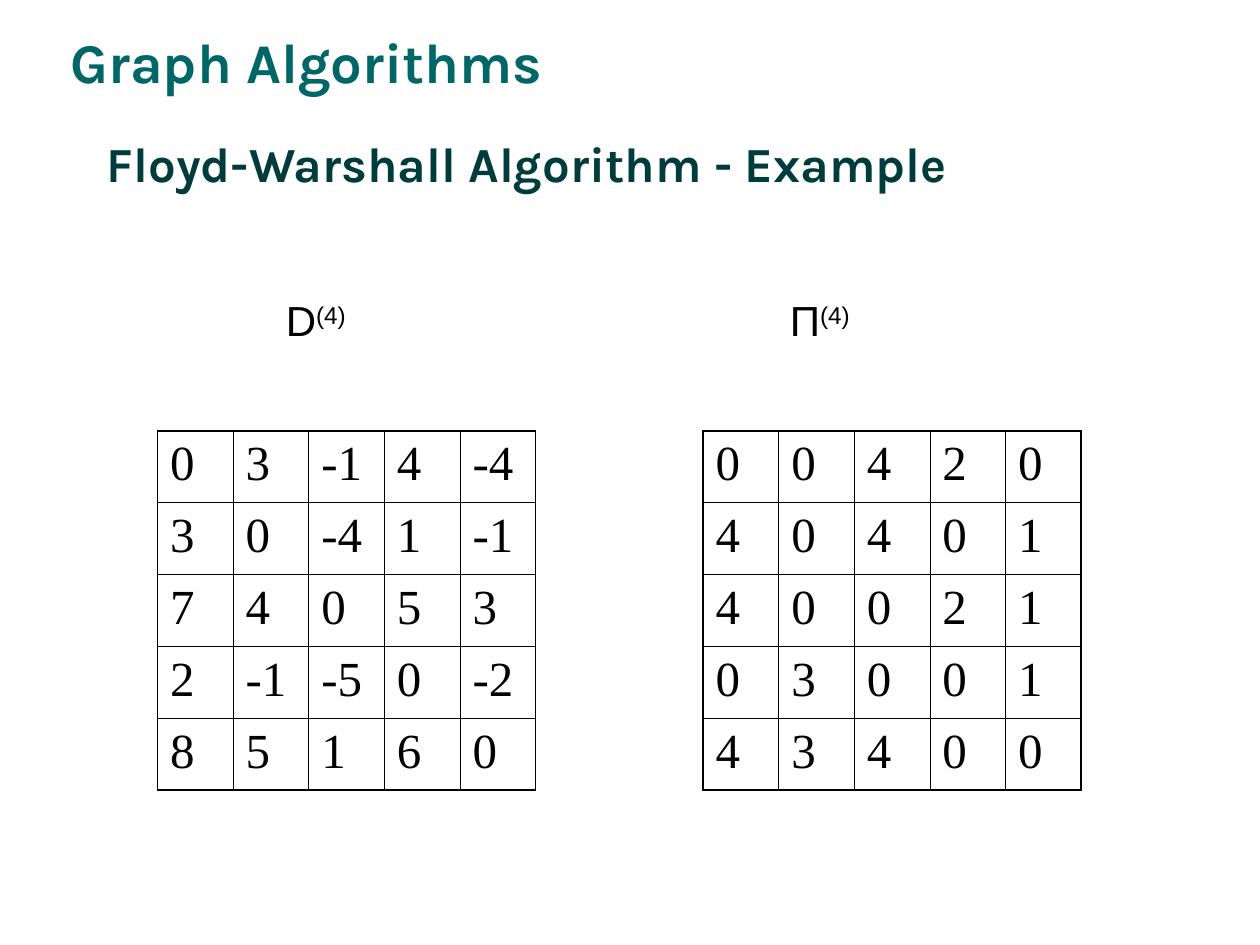
from lxml import etree
from pptx import Presentation
from pptx.dml.color import RGBColor
from pptx.enum.text import MSO_ANCHOR, MSO_AUTO_SIZE
from pptx.oxml.ns import qn
from pptx.util import Inches, Pt

TOP, MIDDLE = MSO_ANCHOR.TOP, MSO_ANCHOR.MIDDLE
GROW = MSO_AUTO_SIZE.SHAPE_TO_FIT_TEXT
FIXED = MSO_AUTO_SIZE.NONE

COLORS = {"heading": "006666", "title": "003C3B", "ink": "000000"}
OUTER_LINE, INNER_LINE = 1.08, 0.45
BLANK_LAYOUT = 6

DISTANCES = [
    [0, 3, -1, 4, -4],
    [3, 0, -4, 1, -1],
    [7, 4, 0, 5, 3],
    [2, -1, -5, 0, -2],
    [8, 5, 1, 6, 0],
]
PREDECESSORS = [
    [0, 0, 4, 2, 0],
    [4, 0, 4, 0, 1],
    [4, 0, 0, 2, 1],
    [0, 3, 0, 0, 1],
    [4, 3, 4, 0, 0],
]


def add_run(paragraph, text, *, size, font, color="ink", bold=False, baseline=0):
    """Append a formatted run, raised by baseline percent."""
    run = paragraph.add_run()
    run.text = text
    run.font.size = Pt(size)
    run.font.name = font
    run.font.bold = bold
    run.font.color.rgb = RGBColor.from_string(COLORS[color])
    if baseline:
        run.font._element.set("baseline", str(baseline * 1000))


def add_text_box(slide, box, *, wrap=False, anchor=TOP):
    """Add an empty text box and return its first paragraph."""
    frame = slide.shapes.add_textbox(*map(Inches, box)).text_frame
    frame.word_wrap = wrap
    frame.auto_size = FIXED if wrap else GROW
    frame.vertical_anchor = anchor
    return frame.paragraphs[0]


def add_tab_stops(paragraph, positions):
    """Set left tab stops at the given distances in inches."""
    tab_list = etree.SubElement(paragraph._p.get_or_add_pPr(), qn("a:tabLst"))
    for position in positions:
        etree.SubElement(tab_list, qn("a:tab"), pos=str(Inches(position)), algn="l")


def add_headings(slide, heading_box, title_box):
    """Place the course heading and the slide title."""
    heading = add_text_box(slide, heading_box)
    add_run(heading, "Graph Algorithms", size=32, font="Karla", color="heading", bold=True)
    title = add_text_box(slide, title_box, wrap=True, anchor=MIDDLE)
    add_run(title, "Floyd-Warshall Algorithm - Example", size=28, font="Karla",
            color="title", bold=True)


def add_matrix_labels(slide, box):
    """Place both matrix names on one line, aligned by tab stops."""
    paragraph = add_text_box(slide, box)
    add_tab_stops(paragraph, [1, 5])
    for name in ("D", "Π"):
        add_run(paragraph, "\t" + name, size=24, font="Arial")
        add_run(paragraph, "(4)", size=24, font="Arial", baseline=30)


def set_borders(cell, widths):
    """Draw the left, right, top and bottom borders of a cell."""
    properties = cell._tc.get_or_add_tcPr()
    for side, width in zip("LRTB", widths):
        line = etree.SubElement(properties, qn(f"a:ln{side}"), w=str(Pt(width)))
        fill = etree.SubElement(line, qn("a:solidFill"))
        etree.SubElement(fill, qn("a:srgbClr"), val=COLORS["ink"])


def add_matrix(slide, box, values):
    """Place a matrix as an unfilled grid with a heavier outer frame."""
    row_count, column_count = len(values), len(values[0])
    shape = slide.shapes.add_table(row_count, column_count, *map(Inches, box))
    table = shape.table
    table.first_row = table.horz_banding = False
    for row, numbers in enumerate(values):
        for column, number in enumerate(numbers):
            cell = table.cell(row, column)
            add_run(cell.text_frame.paragraphs[0], str(number), size=28,
                    font="Times New Roman")
            on_frame = (column == 0, column == column_count - 1,
                        row == 0, row == row_count - 1)
            set_borders(cell, [OUTER_LINE if edge else INNER_LINE for edge in on_frame])
            cell.fill.background()


def main():
    """Build the slide and save it."""
    presentation = Presentation()
    presentation.slide_width = Inches(10)
    presentation.slide_height = Inches(7.5)
    slide = presentation.slides.add_slide(presentation.slide_layouts[BLANK_LAYOUT])
    add_headings(slide, (0.46, 0.17, 4.16, 0.64), (0.75, 0.67, 9.25, 1.25))
    for left, values in ((1.25, DISTANCES), (5.58, PREDECESSORS)):
        add_matrix(slide, (left, 3.42, 3, 2.85), values)
    add_matrix_labels(slide, (1.17, 2.29, 5.7, 0.5))
    presentation.save("out.pptx")


if __name__ == "__main__":
    main()
